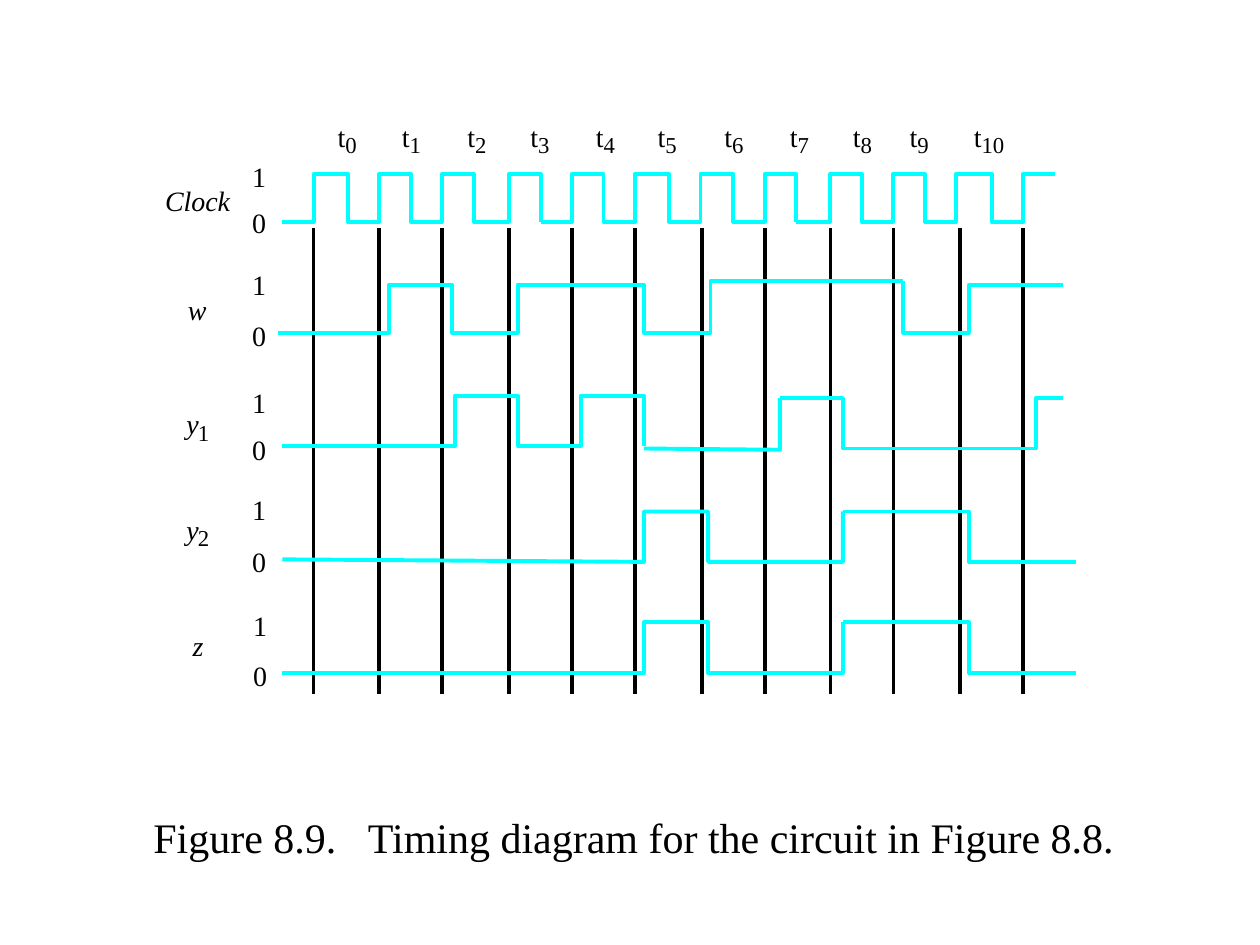
from itertools import cycle

from lxml.etree import SubElement
from pptx import Presentation
from pptx.dml.color import RGBColor
from pptx.enum.shapes import MSO_CONNECTOR as Connector
from pptx.enum.text import MSO_AUTO_SIZE as AutoSize, PP_ALIGN as Align
from pptx.oxml.ns import qn
from pptx.util import Pt

SCALE = 9144  # EMU in one px, 100 px to the inch
COLORS = {"ink": "000000", "signal": "00FFFF"}
FORMATS = {
    "label": {"size": Pt(16)},
    "name": {"size": Pt(16), "italic": True},
    "index": {"size": Pt(13)},
    "caption": {"size": Pt(24)},
}

TICKS = [249, 301, 351, 404, 454, 504, 557, 607, 659, 709, 762, 812]
TIME_LABELS = [268, 319, 371, 421, 473, 522, 575, 627, 677, 722, 773]

# Each row: left of the digits, top of the 1, top of the 0
LEVEL_LABELS = [(200, 127, 163), (200, 212, 253), (200, 306, 343),
                (200, 391, 432), (201, 483, 523)]

# Each name: text, index, left, top, width
SIGNAL_NAMES = [
    ("Clock", "", 131, 146, 58),
    ("w", "", 149, 232, 22),
    ("y", "1", 148, 323, 16),
    ("y", "2", 148, 407, 16),
    ("z", "", 153, 499, 16),
]

# Each wave: start x, start y, levels in turn, edges, end x
CLOCK = [
    (224, 176, (176, 138), [249, 276, 301, 326, 351, 376, 404, 429], 429),
    (429, 176, (176, 138), [454, 479, 504, 531, 556, 582, 607, 632], 632),
    (632, 176, (176, 138), [659, 684, 709, 734, 759, 787, 812], 837),
]
INPUT_W = [
    (221, 264, (264, 226, 264, 226, 264, 223), [309, 359, 411, 511, 564], 717),
    (717, 223, (223, 264, 226), [717, 769], 844),
]
STATE_Y1 = [
    (224, 354, (354, 314), [361, 411, 461, 511], 511),
    (511, 356, (357, 316), [619], 619),
    (619, 316, (316, 356), [669, 822], 844),
]
STATE_Y2 = [
    (224, 444, (446, 406), [511, 562, 669], 669),
    (669, 406, (406, 446), [769], 854),
]
OUTPUT_Z = [
    (224, 534, (534, 494), [511, 562, 669], 669),
    (669, 494, (494, 534), [769], 854),
]


def color(name):
    return RGBColor.from_string(COLORS[name])


def wave_points(start, start_y, levels, edges, end):
    """Corner points of a signal that moves to its next level at each edge."""
    level = cycle(levels)
    y = next(level)
    points = [(start, start_y)]
    for x in edges:
        points.append((x, y))
        y = next(level)
        points.append((x, y))
    points.append((end, y))
    return [point for i, point in enumerate(points)
            if i == 0 or point != points[i - 1]]


class Diagram:
    """Holds the typeface and the slide being drawn."""

    def __init__(self, page, font="Times New Roman"):
        self.page = page
        self.font = font

    def add_span(self, para, text, style):
        span = para.add_run()
        span.text = text
        span.font.name = self.font
        span.font.color.rgb = color("ink")
        for key, value in FORMATS[style].items():
            setattr(span.font, key, value)
        return span

    def text_box(self, left, top, width, height):
        return self.page.shapes.add_textbox(
            *(n * SCALE for n in (left, top, width, height)))

    def label(self, text, left, top, width, height=27, style="label"):
        frame = self.text_box(left, top, width, height).text_frame
        for side in ("left", "top", "right", "bottom"):
            setattr(frame, f"margin_{side}", 0)
        frame.word_wrap = False
        frame.auto_size = AutoSize.SHAPE_TO_FIT_TEXT
        self.add_span(frame.paragraphs[0], text, style)

    def indexed(self, text, index, left, top, width, offset, style):
        self.label(text, left, top, width, style=style)
        if index:
            index_width = 15 if len(index) == 1 else 21
            self.label(index, left + offset, top + 9, index_width, 22, "index")

    def caption(self, number, title):
        frame = self.text_box(6, 639, 994, 51).text_frame
        frame.word_wrap = True
        para = frame.paragraphs[0]
        para.alignment = Align.CENTER
        self.add_span(para, number, "caption")
        gap = self.add_span(para, " ", "caption")
        gap.font._element.set("spc", "1200")
        self.add_span(para, title, "caption")

    def grid_line(self, x, top, bottom):
        line = self.page.shapes.add_connector(
            Connector.STRAIGHT, x * SCALE, bottom * SCALE, x * SCALE, top * SCALE)
        line.line.color.rgb = color("ink")
        line.line.width = Pt(0)
        SubElement(line._element.spPr, qn("a:effectLst"))

    def wave(self, points):
        builder = self.page.shapes.build_freeform(*points[0], scale=SCALE)
        builder.add_line_segments(points[1:], close=False)
        shape = builder.convert_to_shape()
        shape.fill.background()
        shape.line.color.rgb = color("signal")
        shape.line.width = Pt(2.25)
        shape.shadow.inherit = False


def main():
    deck = Presentation()
    deck.slide_width = 1000 * SCALE
    deck.slide_height = 750 * SCALE
    diagram = Diagram(deck.slides.add_slide(deck.slide_layouts[6]))

    diagram.caption("Figure 8.9.", "Timing diagram for the circuit in Figure 8.8.")
    for x in TICKS:
        diagram.grid_line(x, 181, 551)
    for signal in (CLOCK, INPUT_W, STATE_Y1, STATE_Y2, OUTPUT_Z):
        for part in signal:
            diagram.wave(wave_points(*part))
    for index, left in enumerate(TIME_LABELS):
        diagram.indexed("t", str(index), left, 95, 14, 6, "label")
    for left, *tops in LEVEL_LABELS:
        for digit, top in zip("10", tops):
            diagram.label(digit, left, top, 19)
    for text, index, left, top, width in SIGNAL_NAMES:
        diagram.indexed(text, index, left, top, width, 9, "name")

    deck.save("out.pptx")


if __name__ == "__main__":
    main()
